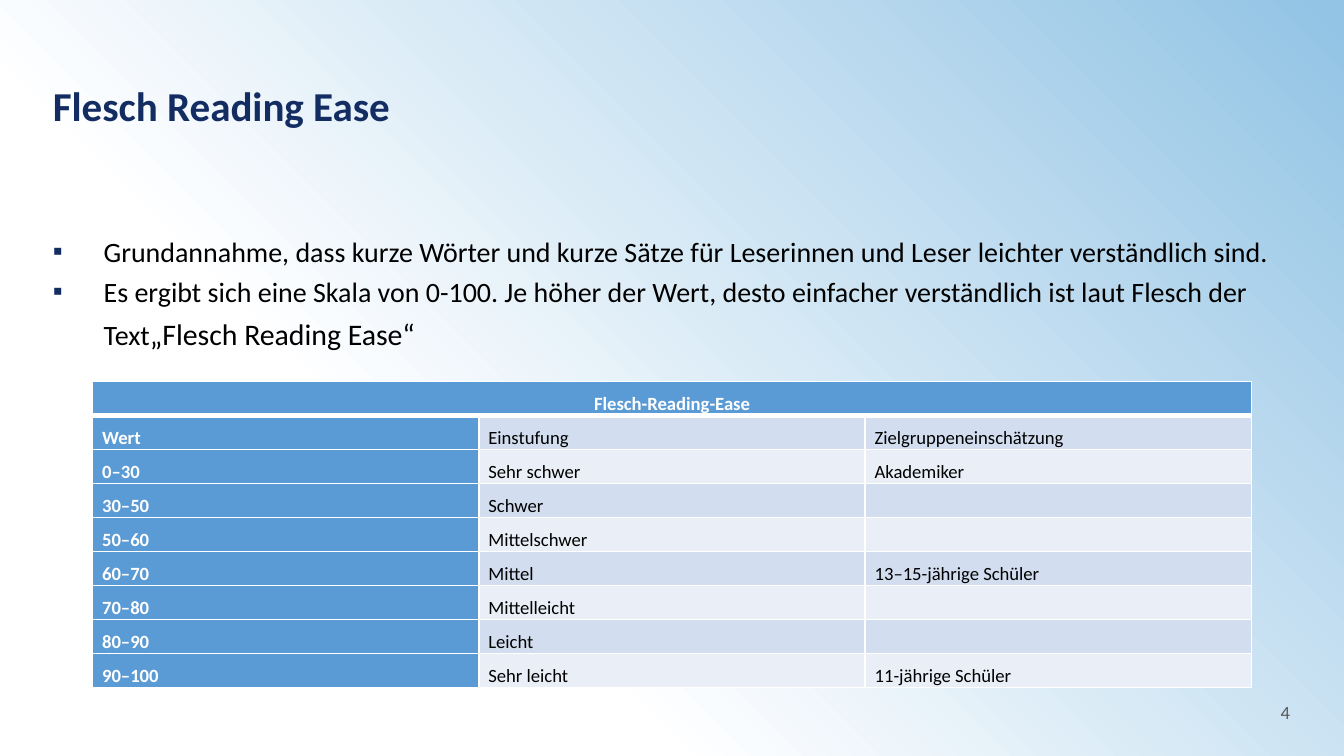
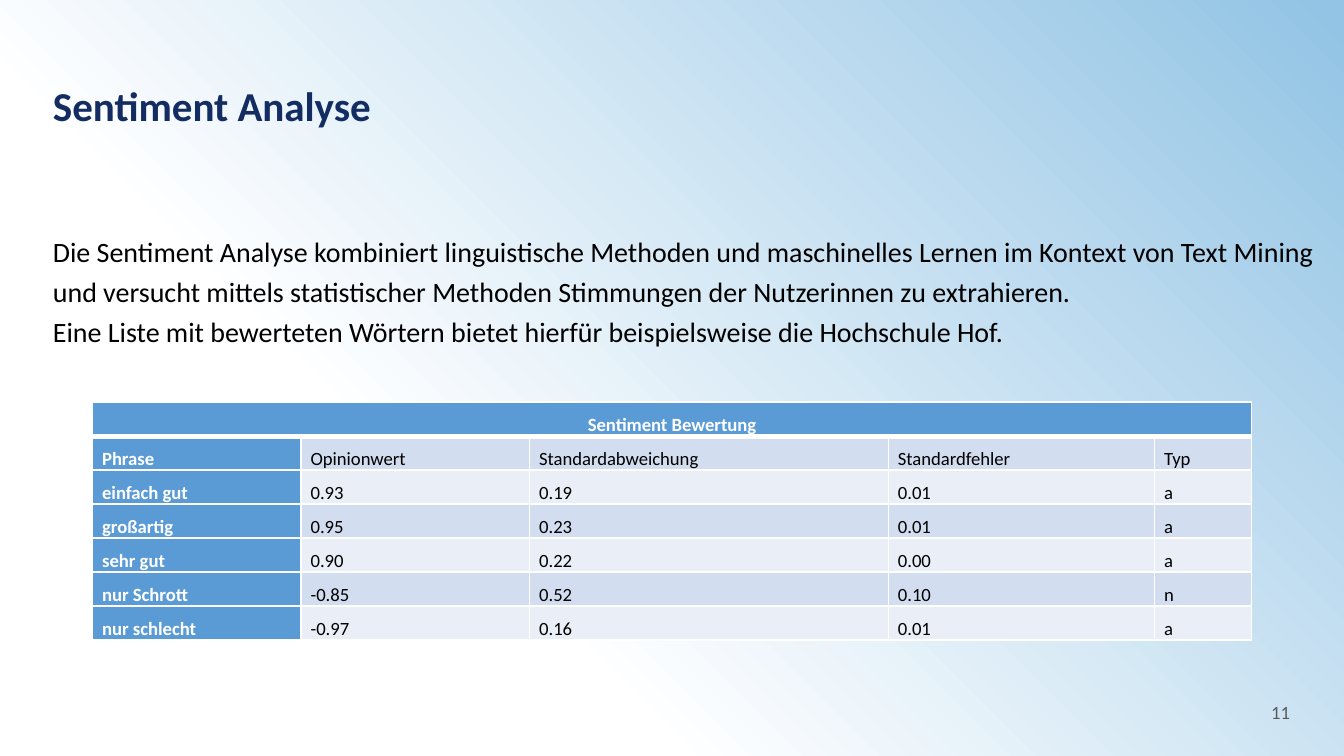
from lxml.etree import SubElement
from pptx import Presentation
from pptx.dml.color import RGBColor
from pptx.enum.text import MSO_ANCHOR, MSO_AUTO_SIZE, PP_ALIGN
from pptx.oxml.ns import qn
from pptx.util import Cm, Pt

# Shared colours and formats
NAVY = RGBColor(0x13, 0x2D, 0x62)
SKY = RGBColor(0x93, 0xC4, 0xE5)
BLUE = RGBColor(0x5B, 0x9B, 0xD5)
DARK_BAND = RGBColor(0xD2, 0xDE, 0xEF)
LIGHT_BAND = RGBColor(0xEA, 0xEF, 0xF7)
WHITE = RGBColor(0xFF, 0xFF, 0xFF)
BLACK = RGBColor(0, 0, 0)
GREY = RGBColor(0x59, 0x59, 0x59)
FONT = "Calibri"

FRAME = dict(margin_left=0, margin_top=0, margin_right=0, margin_bottom=0,
             word_wrap=True, auto_size=MSO_AUTO_SIZE.NONE,
             vertical_anchor=MSO_ANCHOR.TOP)
TIGHT = dict(line_spacing=0.9, space_before=Pt(7.5))
BODY = dict(line_spacing=1.2, space_before=0, alignment=PP_ALIGN.LEFT)
CELL = dict(line_spacing=1.5, space_before=Pt(3))
PAD = dict(margin_left=Cm(0.18), margin_right=Cm(0.18),
           margin_top=0, margin_bottom=0)

LEFT = Cm(1)
TABLE_LEFT, TABLE_WIDTH, ROW = Cm(1.75), 21.9, Cm(0.57)


def style(item, **values):
    for name, value in values.items():
        setattr(item, name, value)


def add_run(para, text, size, color, bold=False):
    run = para.add_run()
    run.text = text
    style(run.font, name=FONT, size=Pt(size), bold=bold)
    run.font.color.rgb = color


def paint_back(master):
    """Diagonal fade from the top right corner."""
    fill = master.background.fill
    fill.gradient()
    fill.gradient_angle = 225
    for stop, place, color in zip(fill.gradient_stops, (0.01, 0.68), (SKY, WHITE)):
        stop.position = place
        stop.color.rgb = color


def add_bullet(para):
    props = para._p.get_or_add_pPr()
    props.set("marL", str(Cm(0.96)))
    props.set("indent", str(-Cm(0.96)))
    color = SubElement(props, qn("a:buClr"))
    SubElement(color, qn("a:srgbClr"), val=str(NAVY))
    SubElement(props, qn("a:buFont"), typeface="Arial")
    SubElement(props, qn("a:buChar"), char="▪")


def add_page(deck, title, number):
    """Title and page number."""
    page = deck.slides.add_slide(deck.slide_layouts[5])
    head = page.shapes.title
    style(head, left=LEFT, top=Cm(1.63), width=Cm(19.7), height=Cm(0.69))
    style(head.text_frame, **FRAME)
    para = head.text_frame.paragraphs[0]
    style(para, alignment=PP_ALIGN.LEFT, **TIGHT)
    add_run(para, title, 22, NAVY, True)

    foot = page.shapes.add_textbox(Cm(21.2), Cm(13.3), Cm(3.18), Cm(0.8))
    style(foot.text_frame, **FRAME)
    para = foot.text_frame.paragraphs[0]
    style(para, alignment=PP_ALIGN.RIGHT, **TIGHT)
    add_run(para, str(number), 10, GREY)
    return page


def add_body(page, lines, bullets=False):
    """Each line is a list of (text, size) runs."""
    frame = page.shapes.add_textbox(LEFT, Cm(4.3), Cm(23.92), Cm(8.58)).text_frame
    style(frame, **FRAME)
    for i, runs in enumerate(lines):
        para = frame.add_paragraph() if i else frame.paragraphs[0]
        style(para, **BODY)
        if bullets:
            add_bullet(para)
        for text, size in runs:
            add_run(para, text, size, BLACK)


def add_edges(cell, top, base):
    props = cell._tc.get_or_add_tcPr()
    for side, width in (("L", 1), ("R", 1), ("T", top), ("B", base)):
        line = SubElement(props, qn("a:ln" + side), w=str(Pt(width)))
        fill = SubElement(line, qn("a:solidFill"))
        SubElement(fill, qn("a:srgbClr"), val=str(WHITE))


def fill_cell(cell, text, back, color, bold, align):
    style(cell, **PAD)
    cell.fill.solid()
    cell.fill.fore_color.rgb = back
    para = cell.text_frame.paragraphs[0]
    style(para, alignment=align, **CELL)
    if text:
        add_run(para, text, 10, color, bold)
    else:
        SubElement(para._p, qn("a:endParaRPr"), sz="1000")


def add_grid(page, top, title, widths, rows):
    """Merged head row, blue first column, banded rows."""
    count = len(rows) + 1
    table = page.shapes.add_table(count, len(widths), TABLE_LEFT, top,
                                  Cm(TABLE_WIDTH), ROW * count).table
    table.horz_banding = False
    for col, width in zip(table.columns, widths):
        col.width = Cm(width)
    for row in table.rows:
        row.height = ROW
    for r in range(count):
        for c in range(len(widths)):
            add_edges(table.cell(r, c), 3 if r == 1 else 1, 3 if r == 0 else 1)
    head = table.cell(0, 0)
    head.merge(table.cell(0, len(widths) - 1))
    fill_cell(head, title, BLUE, WHITE, True, PP_ALIGN.CENTER)
    for r, row in enumerate(rows, 1):
        band = DARK_BAND if r % 2 else LIGHT_BAND
        for c, text in enumerate(row):
            look = (band, BLACK, False) if c else (BLUE, WHITE, True)
            fill_cell(table.cell(r, c), text, *look, PP_ALIGN.JUSTIFY)


def add_flesch(deck):
    page = add_page(deck, "Flesch Reading Ease", 4)
    add_body(page, [
        [("Grundannahme, dass kurze Wörter und kurze Sätze für Leserinnen und "
          "Leser leichter verständlich sind.", 15)],
        [("Es ergibt sich eine Skala von 0-100. Je höher der Wert, desto "
          "einfacher verständlich ist laut Flesch der Text", 15),
         ("„Flesch Reading Ease“", 16)],
    ], bullets=True)
    add_grid(page, Cm(7.21), "Flesch-Reading-Ease", [TABLE_WIDTH / 3] * 3, [
        ("Wert", "Einstufung", "Zielgruppeneinschätzung"),
        ("0–30", "Sehr schwer", "Akademiker"),
        ("30–50", "Schwer", ""),
        ("50–60", "Mittelschwer", ""),
        ("60–70", "Mittel", "13–15-jährige Schüler"),
        ("70–80", "Mittelleicht", ""),
        ("80–90", "Leicht", ""),
        ("90–100", "Sehr leicht", "11-jährige Schüler"),
    ])


def add_mood(deck):
    page = add_page(deck, "Sentiment Analyse", 11)
    add_body(page, [
        [("Die Sentiment Analyse kombiniert linguistische Methoden und "
          "maschinelles Lernen im Kontext von Text Mining und versucht mittels "
          "statistischer Methoden Stimmungen der Nutzerinnen zu extrahieren.", 15)],
        [("Eine Liste mit bewerteten Wörtern bietet hierfür beispielsweise die "
          "Hochschule Hof.", 15)],
    ])
    add_grid(page, Cm(7.6), "Sentiment Bewertung", [3.94, 4.32, 6.78, 5.03, 1.83], [
        ("Phrase", "Opinionwert", "Standardabweichung", "Standardfehler", "Typ"),
        ("einfach gut", "0.93", "0.19", "0.01", "a"),
        ("großartig", "0.95", "0.23", "0.01", "a"),
        ("sehr gut", "0.90", "0.22", "0.00", "a"),
        ("nur Schrott", "-0.85", "0.52", "0.10", "n"),
        ("nur schlecht", "-0.97", "0.16", "0.01", "a"),
    ])


def main():
    deck = Presentation()
    style(deck, slide_width=Cm(25.4), slide_height=Cm(14.29))
    paint_back(deck.slide_master)
    add_flesch(deck)
    add_mood(deck)
    deck.save("out.pptx")


main()
